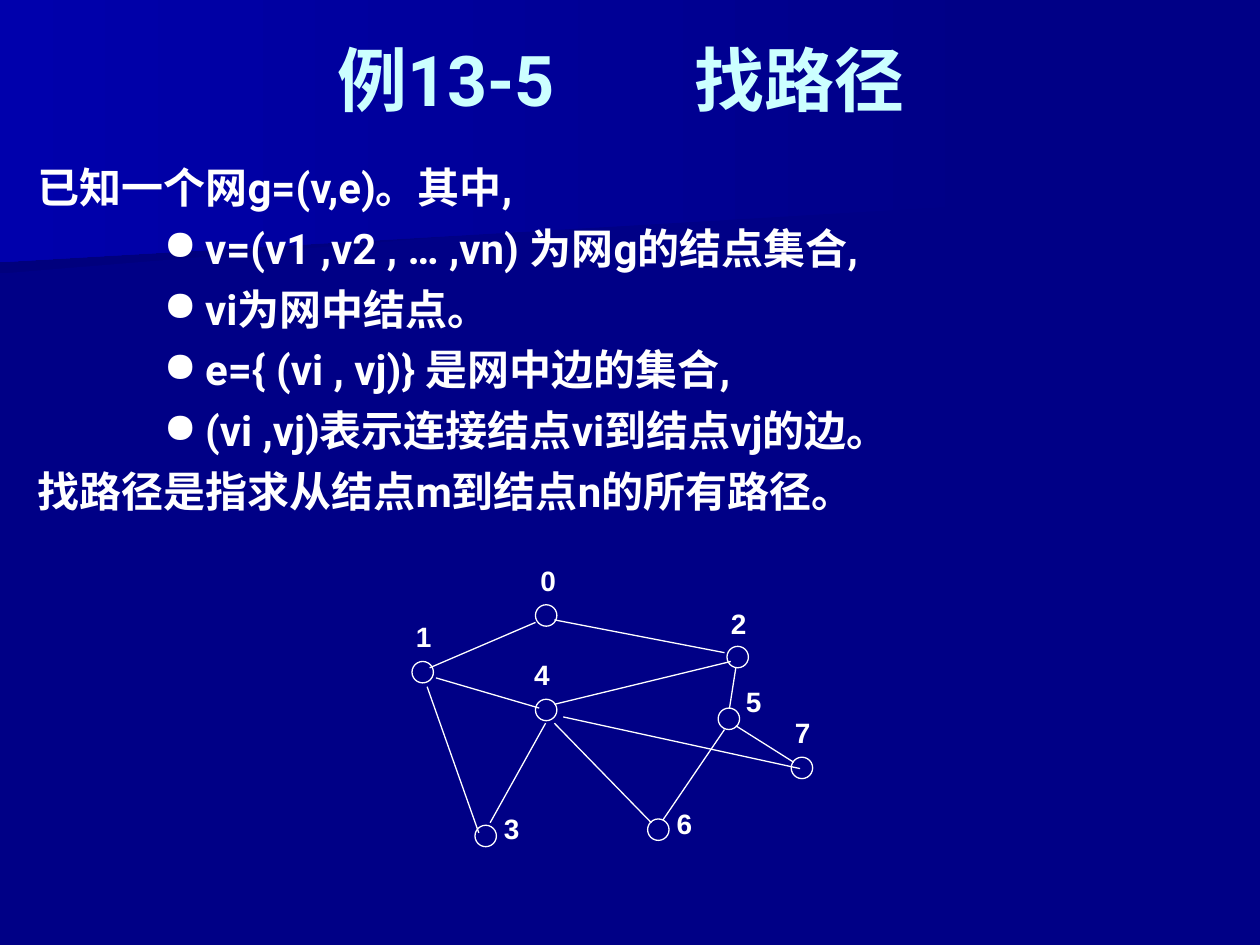
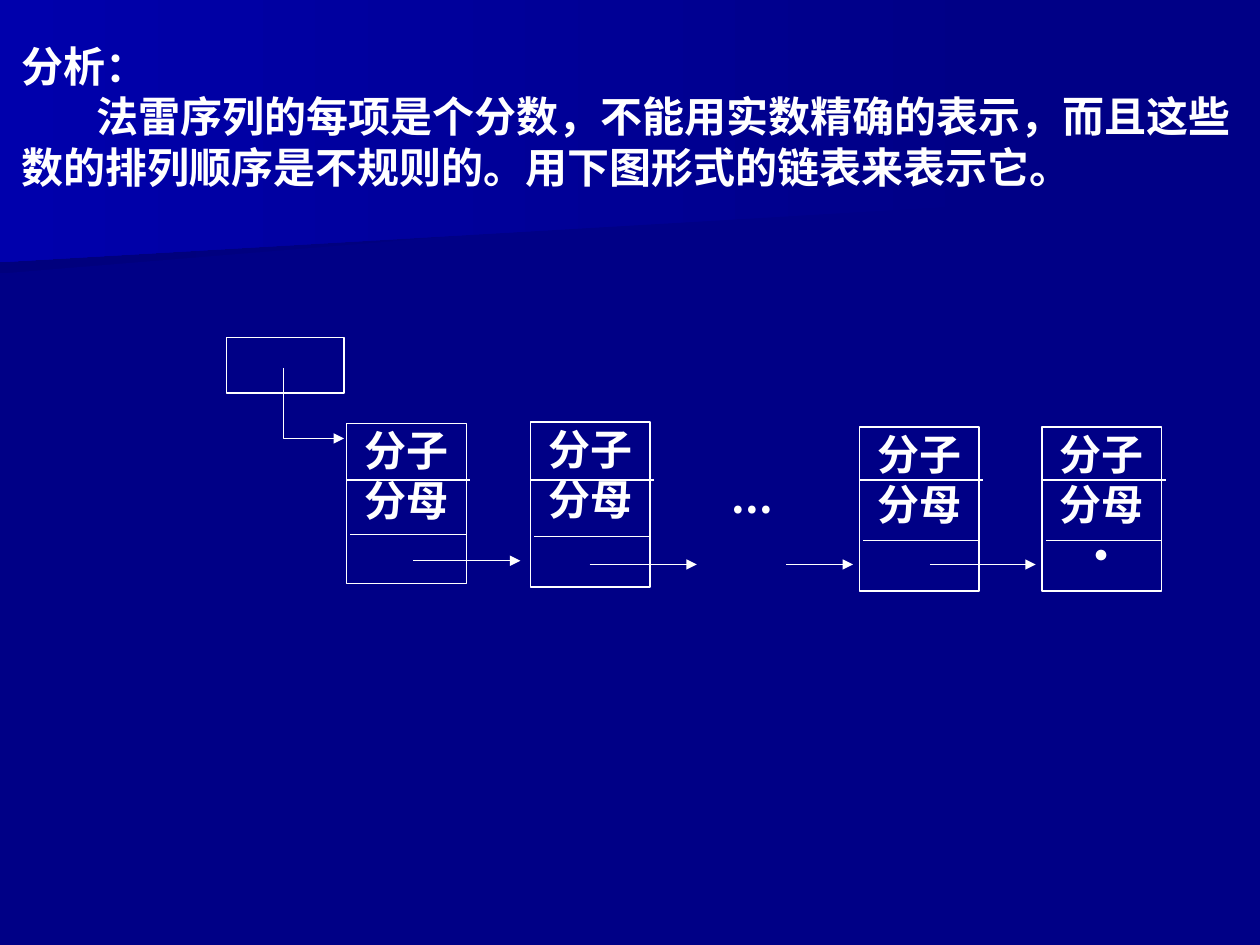
from lxml import etree
from pptx import Presentation
from pptx.dml.color import RGBColor
from pptx.enum.shapes import MSO_CONNECTOR, MSO_SHAPE
from pptx.enum.text import MSO_ANCHOR, PP_ALIGN
from pptx.oxml.ns import qn
from pptx.util import Emu, Pt

PX = 9144
STRAIGHT = MSO_CONNECTOR.STRAIGHT
OVAL, RECTANGLE = MSO_SHAPE.OVAL, MSO_SHAPE.RECTANGLE
TOP, MIDDLE = MSO_ANCHOR.TOP, MSO_ANCHOR.MIDDLE
LEFT, CENTER, JUSTIFY = PP_ALIGN.LEFT, PP_ALIGN.CENTER, PP_ALIGN.JUSTIFY
NAVY, SHADE, GLOW = "000086", "00007D", "0000AC"
WHITE, PALE = "FFFFFF", "CCFFFF"
CJK, ROBOTO, ARIAL, TIMES = "Noto Sans CJK SC", "Roboto", "Arial", "Times New Roman"
WIDE_SPACE = "　"

BANDS = [
    (SHADE, [(778, 153), (0, 217), (0, 101), (779, 101), (778, 128)]),
    (GLOW, [(792, 162), (0, 208), (0, 0), (792, 0)]),
]
NODES = [
    ("0", 425, 480, 3, -34),
    ("1", 327, 525, 2, -34),
    ("2", 577, 513, 2, -33),
    ("3", 377, 655, 22, -12),
    ("4", 425, 555, -2, -34),
    ("5", 570, 562, 21, -20),
    ("6", 514, 650, 22, -11),
    ("7", 628, 601, 2, -34),
]
EDGES = [
    ((425, 494), (341, 530)),
    ((440, 492), (575, 518)),
    ((346, 538), (428, 562)),
    ((339, 545), (380, 661)),
    ((389, 653), (433, 574)),
    ((440, 559), (580, 525)),
    ((447, 569), (635, 610)),
    ((440, 574), (517, 653)),
    ((575, 579), (526, 651)),
    ((584, 530), (579, 562)),
    ((584, 576), (630, 605)),
]
CELLS = [
    (275, 336, 127, 424, ["分子", "分母"]),
    (421, 335, 131, 426, ["分子", "分母"]),
    (682, 339, 130, 429, ["分子", "分母"]),
    (827, 339, 130, 429, ["分子", "分母", "·"]),
]
LINKS = [(328, 413, 445), (468, 553, 448), (624, 677, 448), (738, 822, 448)]


def px(length):
    """Turn px into EMU."""
    return Emu(length * PX)


def rgb(value):
    """Turn a hex string into a colour."""
    return RGBColor.from_string(value)


def add_element(parent, tag, **attributes):
    """Append a DrawingML element and return it."""
    return etree.SubElement(parent, qn(f"a:{tag}"), attributes)


def write(frame, text, font=CJK, size=24, color=WHITE, align=LEFT,
          margin=0, indent=0, before=0, bullet=None, gap=0):
    """Add one bold paragraph to a text frame."""
    empty = not frame.paragraphs[0].runs
    paragraph = frame.paragraphs[0] if empty else frame.add_paragraph()
    properties = paragraph._p.get_or_add_pPr()
    properties.set("marL", str(px(margin)))
    properties.set("indent", str(px(indent)))
    if bullet:
        add_element(add_element(properties, "buClr"), "srgbClr", val=color)
        add_element(properties, "buChar", char=bullet)
    paragraph.alignment = align
    paragraph.space_before = Pt(0 if empty else before)
    for piece in filter(None, text.partition(WIDE_SPACE)):
        run = paragraph.add_run()
        run.text = piece
        run.font.size, run.font.bold = Pt(size), True
        run.font.color.rgb = rgb(color)
        run.font.name = font
        add_element(run._r.rPr, "ea", typeface=CJK)
        if piece == WIDE_SPACE:
            run._r.rPr.set("spc", str(gap * 100))


class Deck:
    """Hold the shared style and the current slide."""

    def __init__(self):
        """Start a presentation of 10 by 7.5 inches."""
        self.presentation = Presentation()
        self.presentation.slide_width = px(1000)
        self.presentation.slide_height = px(750)
        self.slide = None

    def add_slide(self):
        """Add a blank slide with the background and its bands."""
        self.slide = self.presentation.slides.add_slide(
            self.presentation.slide_layouts[6])
        fill = self.slide.background.fill
        fill.solid()
        fill.fore_color.rgb = rgb(NAVY)
        for color, points in BANDS:
            band = self.outline(points, close=True)
            band.line.fill.background()
            band.fill.gradient()
            band.fill.gradient_angle = 180
            for stop, shade in zip(band.fill.gradient_stops, (NAVY, color)):
                stop.color.rgb = rgb(shade)

    def stroke(self, line, arrow=False):
        """Make a line thin and white, with an arrowhead if asked."""
        line.color.rgb = rgb(WHITE)
        line.width = Pt(0.75)
        if arrow:
            add_element(line._get_or_add_ln(), "tailEnd", type="triangle")

    def outline(self, points, close=False, arrow=False):
        """Draw an unfilled outline through the points."""
        builder = self.slide.shapes.build_freeform(*points[0], scale=PX)
        builder.add_line_segments(points[1:], close=close)
        shape = builder.convert_to_shape()
        shape.shadow.inherit = False
        shape.fill.background()
        self.stroke(shape.line, arrow)
        return shape

    def shape(self, kind, left, top, width, height):
        """Draw an unfilled preset shape."""
        shape = self.slide.shapes.add_shape(
            kind, px(left), px(top), px(width), px(height))
        shape.shadow.inherit = False
        shape.fill.background()
        self.stroke(shape.line)
        return shape

    def line(self, start, end, arrow=False):
        """Draw a straight line."""
        connector = self.slide.shapes.add_connector(
            STRAIGHT, *map(px, start + end))
        self.stroke(connector.line, arrow)
        add_element(connector._element.spPr, "effectLst")

    def frame(self, shape, inset=(1, 1), anchor=TOP):
        """Prepare the text frame of a shape."""
        frame = shape.text_frame
        frame.word_wrap = True
        frame.vertical_anchor = anchor
        frame.margin_left = frame.margin_right = px(inset[0])
        frame.margin_top = frame.margin_bottom = px(inset[1])
        return frame

    def text_box(self, left, top, width, height, **options):
        """Add a text box and return its frame."""
        box = self.slide.shapes.add_textbox(
            px(left), px(top), px(width), px(height))
        return self.frame(box, **options)

    def node(self, label, left, top, shift_x, shift_y):
        """Draw a graph node with its label."""
        self.shape(OVAL, left, top, 17, 17)
        frame = self.text_box(left + shift_x, top + shift_y, 43, 39)
        write(frame, label, font=ARIAL, size=16, align=JUSTIFY)

    def cell(self, left, top, height, divider, rows):
        """Draw a list cell with its rows and two dividers."""
        frame = self.frame(self.shape(RECTANGLE, left, top, 95, height))
        for row in rows:
            write(frame, row, align=CENTER)
        self.line((left, 381), (left + 98, 381))
        self.line((left + 3, divider), (left + 95, divider))


def build_path_slide(deck):
    """Build the slide on finding paths in a graph."""
    deck.add_slide()
    body = deck.text_box(20, 123, 900, 291, inset=(10, 5))
    plain = dict(font=ROBOTO, margin=38, indent=-38, before=6)
    bulleted = dict(font=ROBOTO, margin=133, indent=-33, before=6, bullet="●")
    write(body, "已知一个网g=(v,e)。其中,", **plain)
    for text in ("v=(v1 ,v2 , … ,vn) 为网g的结点集合,",
                 "vi为网中结点。",
                 "e={ (vi , vj)} 是网中边的集合,",
                 "(vi ,vj)表示连接结点vi到结点vj的边。"):
        write(body, text, **bulleted)
    write(body, "找路径是指求从结点m到结点n的所有路径。", **plain)
    for node in NODES:
        deck.node(*node)
    for edge in EDGES:
        deck.line(*edge)
    title = deck.text_box(43, 0, 900, 125, inset=(10, 5), anchor=MIDDLE)
    write(title, "例13-5　找路径", font=ROBOTO, size=40, color=PALE,
          align=CENTER, gap=40)


def build_list_slide(deck):
    """Build the slide on the linked list of fractions."""
    deck.add_slide()
    body = deck.text_box(16, 31, 973, 170)
    write(body, "分析：", font=TIMES)
    write(body, "法雷序列的每项是个分数，不能用实数精确的表示，而且这些"
                "数的排列顺序是不规则的。用下图形式的链表来表示它。",
          font=TIMES, indent=60)
    deck.shape(RECTANGLE, 180, 268, 93, 44)
    deck.outline([(225, 292), (225, 348), (273, 348)], arrow=True)
    for cell in CELLS:
        deck.cell(*cell)
    write(deck.text_box(568, 373, 58, 56), "...", align=CENTER)
    for start, end, height in LINKS:
        deck.line((start, height), (end, height), arrow=True)


def main():
    """Build and save the presentation."""
    deck = Deck()
    build_path_slide(deck)
    build_list_slide(deck)
    deck.presentation.save("out.pptx")


if __name__ == "__main__":
    main()
